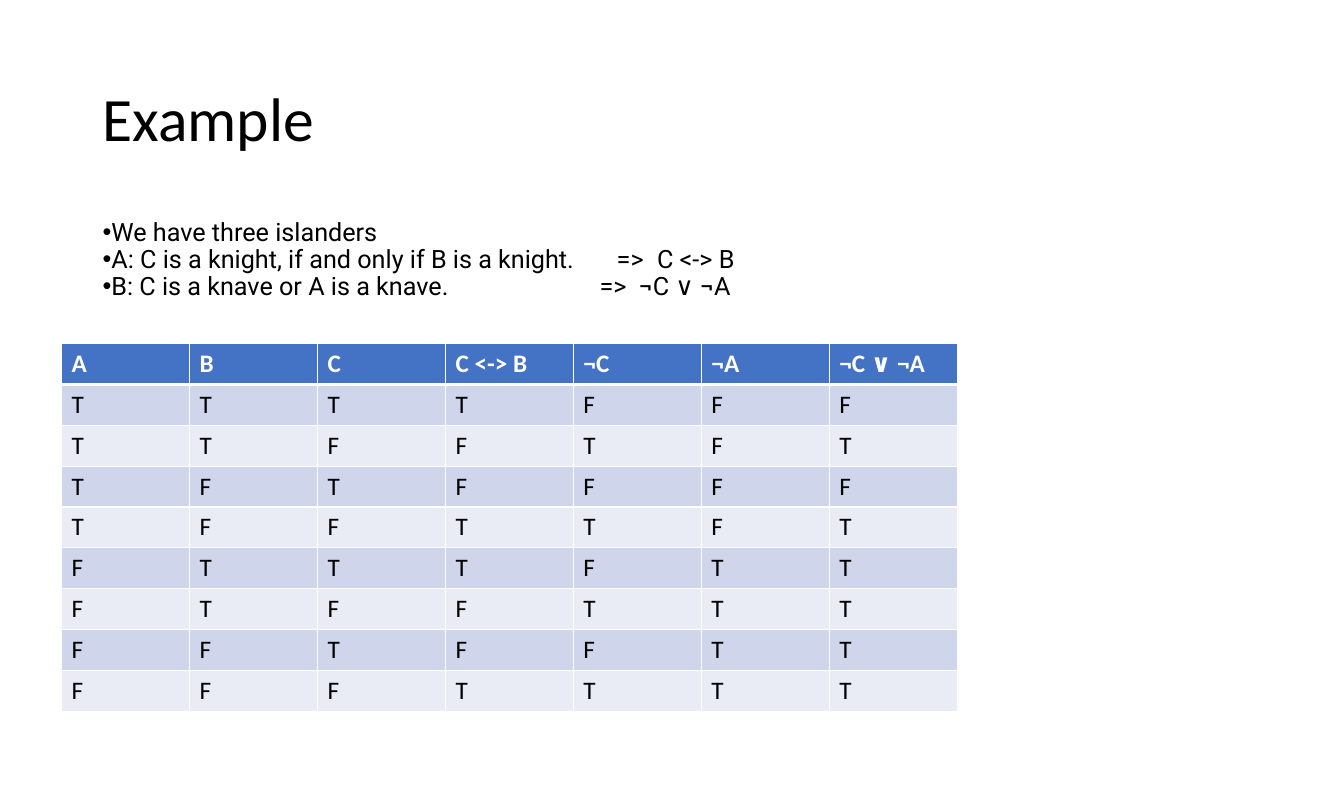
"""Build a slide that solves a knights-and-knaves puzzle with a truth table."""
from dataclasses import dataclass, field
from itertools import product

from lxml import etree
from pptx import Presentation
from pptx import util as u
from pptx.dml.color import RGBColor
from pptx.enum import text
from pptx.oxml import ns


@dataclass(frozen=True)
class Theme:
    heading_font: str = "Calibri"
    body_font: str = "Roboto"
    bullet_font: str = "Arial"
    title_size: int = 44
    body_size: int = 18
    ink: str = "000000"
    white: str = "FFFFFF"
    header: str = "4472C4"
    bands: tuple = ("CFD5EA", "E9EBF5")
    line_spacing: float = 0.9
    thin_rule: int = 1
    header_rule: int = 3


def write(paragraph, words, *, font, size, color, bold=False):
    run = paragraph.add_run()
    run.text = words
    run.font.name = font
    run.font.size = u.Pt(size)
    run.font.bold = bold
    run.font.color.rgb = RGBColor.from_string(color)


def child(parent, tag, **attributes):
    values = {name: str(value) for name, value in attributes.items()}
    return etree.SubElement(parent, ns.qn(tag), values)


@dataclass
class SlideWriter:
    slide: object
    theme: Theme = field(default_factory=Theme)

    def text_frame(self, left, top, width, height, anchor):
        box = self.slide.shapes.add_textbox(*map(u.Inches, (left, top, width, height)))
        frame = box.text_frame
        frame.word_wrap = True
        frame.vertical_anchor = anchor
        return frame

    def title(self, words, *place):
        paragraph = self.text_frame(*place, text.MSO_ANCHOR.MIDDLE).paragraphs[0]
        paragraph.line_spacing = self.theme.line_spacing
        write(paragraph, words, font=self.theme.heading_font,
              size=self.theme.title_size, color=self.theme.ink)

    def bullets(self, statements, *place):
        frame = self.text_frame(*place, text.MSO_ANCHOR.TOP)
        for index, (words, stops) in enumerate(statements):
            paragraph = frame.add_paragraph() if index else frame.paragraphs[0]
            paragraph.line_spacing = self.theme.line_spacing
            properties = paragraph._p.get_or_add_pPr()
            properties.set("marL", "0")
            properties.set("indent", str(u.Inches(-0.25)))
            child(properties, "a:buFont", typeface=self.theme.bullet_font)
            child(properties, "a:buChar", char="•")
            if stops:
                tabs = child(properties, "a:tabLst")
                for stop in stops:
                    child(tabs, "a:tab", pos=u.Inches(stop), algn="l")
            write(paragraph, words, font=self.theme.body_font,
                  size=self.theme.body_size, color=self.theme.ink)

    def borders(self, cell, top, bottom):
        properties = cell._tc.get_or_add_tcPr()
        thin = self.theme.thin_rule
        for side, weight in zip("LRTB", (thin, thin, top, bottom)):
            line = child(properties, f"a:ln{side}", w=u.Pt(weight))
            child(child(line, "a:solidFill"), "a:srgbClr", val=self.theme.white)

    def truth_table(self, rows, left, top, width, height):
        place = map(u.Inches, (left, top, width, height))
        table = self.slide.shapes.add_table(len(rows), len(rows[0]), *place).table
        theme = self.theme
        for r, row in enumerate(rows):
            is_header = r == 0
            fill = theme.header if is_header else theme.bands[(r - 1) % 2]
            above = theme.header_rule if r == 1 else theme.thin_rule
            below = theme.header_rule if is_header else theme.thin_rule
            for c, value in enumerate(row):
                cell = table.cell(r, c)
                self.borders(cell, above, below)
                cell.fill.solid()
                cell.fill.fore_color.rgb = RGBColor.from_string(fill)
                write(cell.text_frame.paragraphs[0], value, font=theme.heading_font,
                      size=theme.body_size, bold=is_header,
                      color=theme.white if is_header else theme.ink)


def truth_rows():
    rows = [("A", "B", "C", "C <-> B", "¬C", "¬A", "¬C ∨ ¬A")]
    for a, b, c in product((True, False), repeat=3):
        values = (a, b, c, c == b, not c, not a, not c or not a)
        rows.append(tuple("T" if value else "F" for value in values))
    return rows


def main():
    deck = Presentation()
    deck.slide_width, deck.slide_height = u.Inches(40 / 3), u.Inches(8)
    writer = SlideWriter(deck.slides.add_slide(deck.slide_layouts[6]))
    writer.title("Example", 0.92, 0.43, 11.5, 1.55)
    statements = [
        ("We have three islanders", ()),
        ("A: C is a knight, if and only if B is a knight.\t=>\tC <-> B", (5.1, 5.5)),
        ("B: C is a knave or A is a knave.\t=>\t¬C ∨ ¬A", (4.93, 5.32)),
    ]
    writer.bullets(statements, 0.92, 2.13, 11.5, 5.08)
    writer.truth_table(truth_rows(), 0.61, 3.41, 8.89, 3.65)
    deck.save("out.pptx")


if __name__ == "__main__":
    main()
